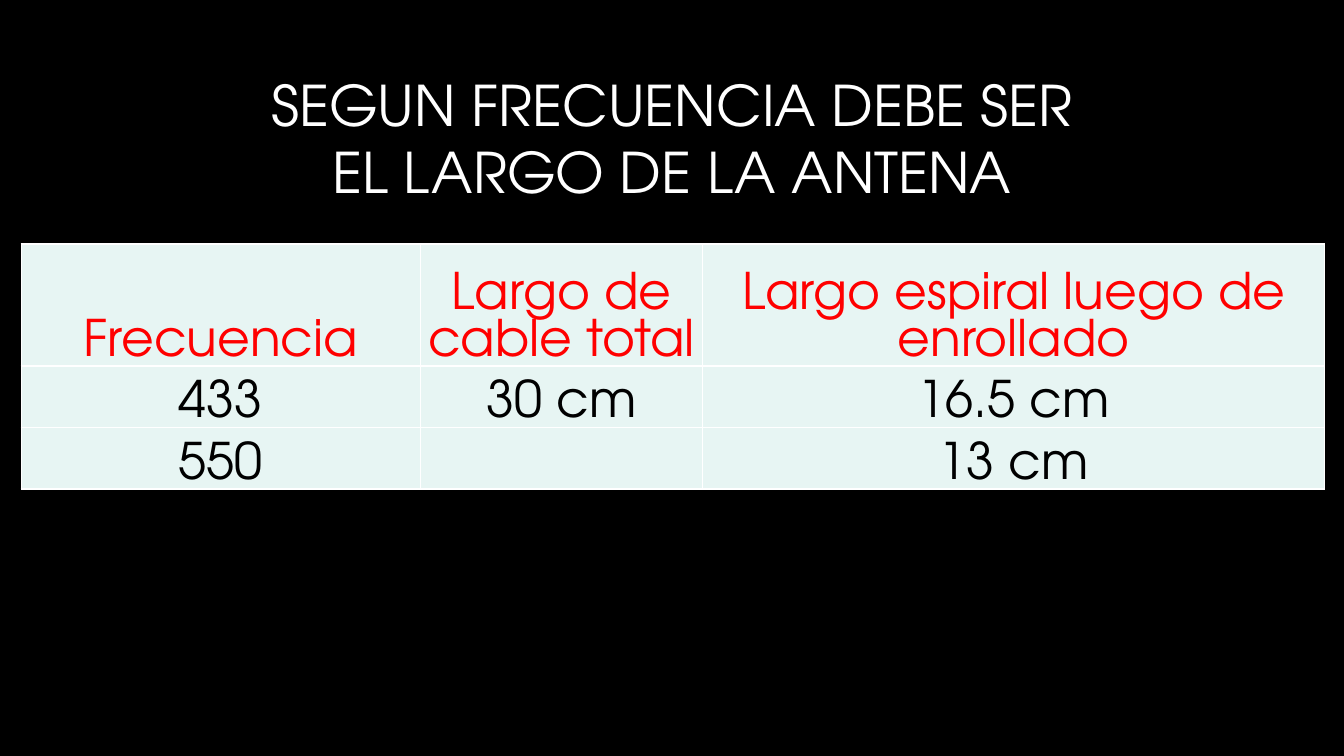
"""Build the antenna length by frequency slide."""
from pptx import Presentation, util as u
from pptx.dml.color import RGBColor
from pptx.enum import text
from pptx.oxml import parse_xml
from pptx.oxml.ns import nsdecls

TITLE = "SEGUN FRECUENCIA DEBE SER EL LARGO DE LA ANTENA"
ROWS = [
    ("Frecuencia", "Largo de cable total", "Largo espiral luego de enrollado"),
    ("433", "30 cm", "16.5 cm"),
    ("550", "", "13 cm"),
]
COL_WIDTHS = (3.96, 2.8, 6.17)
ROW_HEIGHTS = (0.89, 0.49, 0.49)
THEME = {
    "font": "TeX Gyre Adventor", "title_size": 40, "cell_size": 36,
    "background": "000000", "title": "FFFFFF", "header": "FF0000",
    "body": "000000", "cell": "E7F5F3", "border": "FFFFFF",
}


def write(tf, content, size, color):
    p = tf.paragraphs[0]
    p.alignment = text.PP_ALIGN.CENTER
    p.font.size = u.Pt(size)
    if content:
        r = p.add_run()
        r.text = content
        r.font.name = THEME["font"]
        r.font.size = u.Pt(size)
        r.font.color.rgb = RGBColor.from_string(color)


def style_cell(cell):
    cell.margin_left = cell.margin_right = cell.margin_top = u.Inches(0.01)
    cell.margin_bottom = 0
    cell.vertical_anchor = text.MSO_ANCHOR.BOTTOM
    tc_pr = cell._tc.get_or_add_tcPr()
    for side in ("lnL", "lnR", "lnT", "lnB"):
        tc_pr.append(parse_xml(
            f'<a:{side} {nsdecls("a")} w="{u.Pt(1)}"><a:solidFill>'
            f'<a:srgbClr val="{THEME["border"]}"/></a:solidFill></a:{side}>'))
    cell.fill.solid()
    cell.fill.fore_color.rgb = RGBColor.from_string(THEME["cell"])


def add_title(s):
    sp = s.shapes.add_textbox(*map(u.Inches, (2.44, 0.65, 8.45, 1.45)))
    tf = sp.text_frame
    tf.word_wrap = True
    tf.auto_size = text.MSO_AUTO_SIZE.SHAPE_TO_FIT_TEXT
    write(tf, TITLE, THEME["title_size"], THEME["title"])


def add_lengths_table(s):
    box = (0.21, 2.42, sum(COL_WIDTHS), sum(ROW_HEIGHTS))
    table = s.shapes.add_table(
        len(ROWS), len(COL_WIDTHS), *map(u.Inches, box)).table
    for column, width in zip(table.columns, COL_WIDTHS):
        column.width = u.Inches(width)
    for i, (row, height, values) in enumerate(
            zip(table.rows, ROW_HEIGHTS, ROWS)):
        row.height = u.Inches(height)
        color = THEME["body" if i else "header"]
        for cell, value in zip(row.cells, values):
            style_cell(cell)
            write(cell.text_frame, value, THEME["cell_size"], color)


def main():
    prs = Presentation()
    prs.slide_width, prs.slide_height = u.Inches(13.33), u.Inches(7.5)
    s = prs.slides.add_slide(prs.slide_layouts[6])
    s.background.fill.solid()
    s.background.fill.fore_color.rgb = RGBColor.from_string(THEME["background"])
    add_title(s)
    add_lengths_table(s)
    prs.save("out.pptx")


if __name__ == "__main__":
    main()
